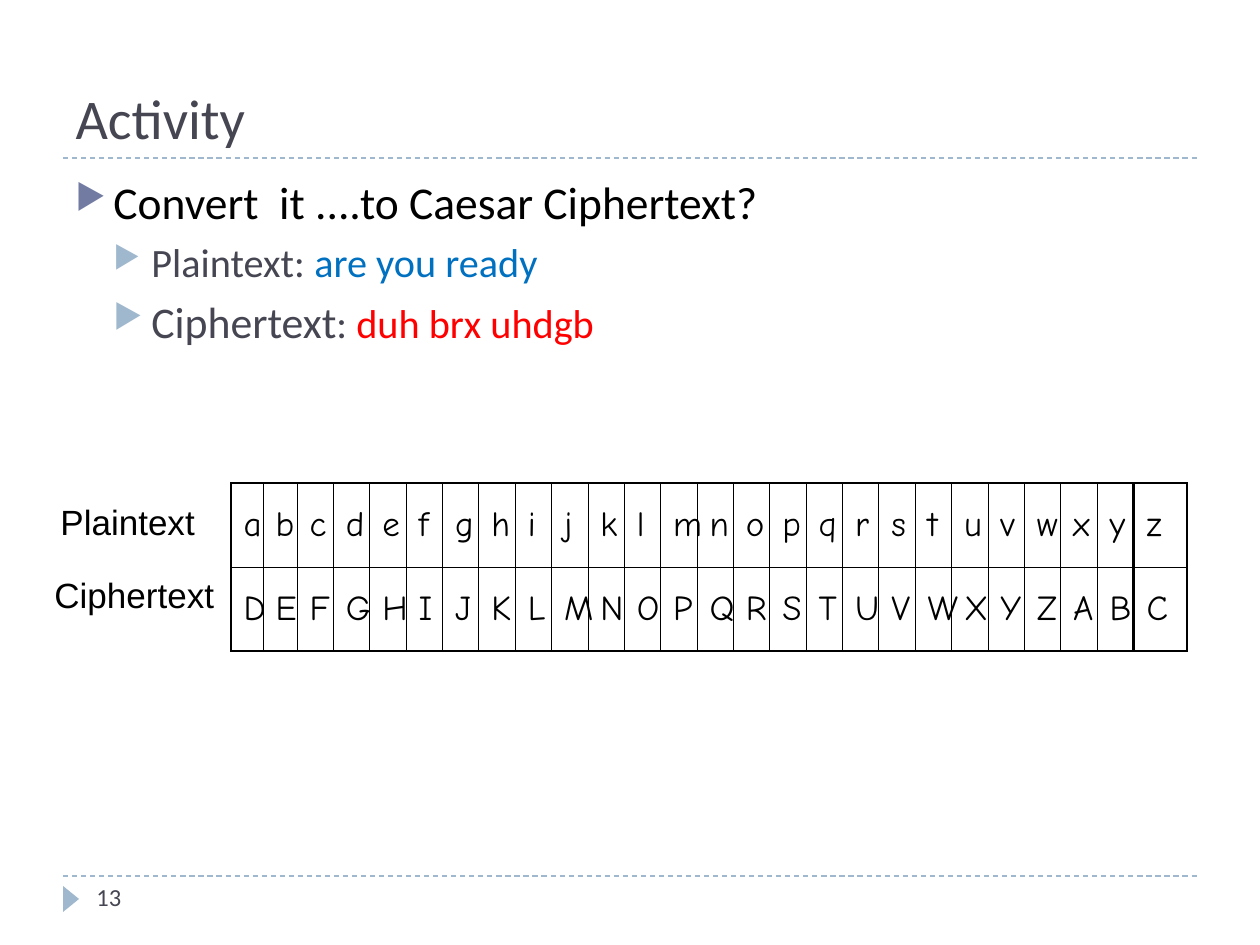
"""Build the Caesar cipher activity slide."""
from lxml import etree
from pptx import Presentation
from pptx import oxml
from pptx import util as u
from pptx.dml.color import RGBColor
from pptx.enum import dml, shapes, text
from pptx.oxml import ns

THEME = {
    "ink": "000000", "slate": "464653", "rule": "9FB8CD", "bullet": "727CA3",
    "plain": "0070C0", "cipher": "FF0000",
    "body": "Calibri", "letter": "Comic Neue", "label": "Arial",
    "title_pt": 32, "question_pt": 26, "answer_pt": 23, "cipher_pt": 25,
    "table_pt": 20, "number_pt": 14,
    "thin": 0.45, "thick": 1.08,
}

TITLE = "Activity"
PAGE = "13"
POINTS = [
    (0, "bullet", 0, [("Convert  it ....to Caesar Ciphertext?", "question_pt", "ink")]),
    (1, "rule", 5, [("Plaintext: ", "answer_pt", "slate"),
                    ("are you ready", "answer_pt", "plain")]),
    (1, "rule", 5, [("Ciphertext", "cipher_pt", "slate"),
                    (": ", "answer_pt", "slate"),
                    ("duh brx uhdgb", "answer_pt", "cipher")]),
]
ALPHABET = "abcdefghijklmnopqrstuvwxyz"
SHIFT = 3
SHIFTED = (ALPHABET[SHIFT:] + ALPHABET[:SHIFT]).upper()
ROW_LABELS = [("Plaintext", (48, 494, 160, 55)), ("Ciphertext", (42, 567, 185, 55))]

INDENT = 38
TABLE_LEFT, TABLE_TOP, ROW_HEIGHT = 231, 483, 84
TABLE_WIDTH, LAST_WIDTH = 903, 53
FIRST_WIDTHS = [32, 34]


def px(length):
    return u.Emu(round(length * 914400 / 126))


def color(key):
    return RGBColor.from_string(THEME[key])


def style(run, size, ink, face):
    run.font.size = u.Pt(THEME[size])
    run.font.color.rgb = color(ink)
    run.font.name = THEME[face]


def add_text(slide, box, words, size, ink, face, wrap=True):
    frame = slide.shapes.add_textbox(*map(px, box)).text_frame
    frame.word_wrap = wrap
    frame.text = words
    style(frame.paragraphs[0].runs[0], size, ink, face)


def add_rule(slide, y):
    rule = slide.shapes.add_connector(
        shapes.MSO_CONNECTOR.STRAIGHT, px(63), px(y), px(1197), px(y))
    rule.line.color.rgb = color("rule")
    rule.line.width = u.Pt(0.75)
    rule.line.dash_style = dml.MSO_LINE.DASH
    etree.SubElement(rule._element.spPr, ns.qn("a:effectLst"))


def add_bullet(paragraph, level, ink):
    props = paragraph._p.get_or_add_pPr()
    props.set("marL", str(px(INDENT * (level + 1))))
    props.set("indent", str(-px(INDENT)))
    for xml in (f'<a:buClr {ns.nsdecls("a")}><a:srgbClr val="{THEME[ink]}"/></a:buClr>',
                f'<a:buSzPct {ns.nsdecls("a")} val="76000"/>',
                f'<a:buChar {ns.nsdecls("a")} char="▶"/>'):
        props.append(oxml.parse_xml(xml))


def add_points(slide):
    frame = slide.shapes.add_textbox(*map(px, (63, 168, 1134, 680))).text_frame
    frame.word_wrap = True
    for index, (level, ink, before, parts) in enumerate(POINTS):
        paragraph = frame.add_paragraph() if index else frame.paragraphs[0]
        paragraph.level = level
        add_bullet(paragraph, level, ink)
        if before:
            paragraph.space_before = u.Pt(before)
        for words, size, part_ink in parts:
            run = paragraph.add_run()
            run.text = words
            style(run, size, part_ink, "body")


def set_borders(cell, thick_sides):
    props = cell._tc.get_or_add_tcPr()
    for index, side in enumerate("LRTB"):
        width = u.Pt(THEME["thick" if side in thick_sides else "thin"])
        props.insert(index, oxml.parse_xml(
            f'<a:ln{side} {ns.nsdecls("a")} w="{width}"><a:solidFill>'
            f'<a:srgbClr val="{THEME["ink"]}"/></a:solidFill></a:ln{side}>'))


def add_letters(slide, left, widths, rows, outer_sides):
    table = slide.shapes.add_table(
        len(rows), len(widths), px(left), px(TABLE_TOP),
        px(sum(widths)), px(ROW_HEIGHT * len(rows))).table
    table.first_row = table.horz_banding = False
    for column, width in zip(table.columns, widths):
        column.width = px(width)
    for r, letters in enumerate(rows):
        table.rows[r].height = px(ROW_HEIGHT)
        for c, letter in enumerate(letters):
            cell = table.cell(r, c)
            cell.text = letter
            cell.vertical_anchor = text.MSO_ANCHOR.MIDDLE
            cell.fill.background()
            style(cell.text_frame.paragraphs[0].runs[0], "table_pt", "ink", "letter")
            edges = {"L": c == 0, "R": c == len(widths) - 1,
                     "T": r == 0, "B": r == len(rows) - 1}
            set_borders(cell, [side for side in outer_sides if edges[side]])


def main():
    deck = Presentation()
    deck.slide_width, deck.slide_height = px(1260), px(945)
    slide = deck.slides.add_slide(deck.slide_layouts[5])

    for y in (876, 157.5):
        add_rule(slide, round(y))
    marker = slide.shapes.add_shape(
        shapes.MSO_SHAPE.ISOSCELES_TRIANGLE, *map(px, (58, 891, 26, 16)))
    marker.rotation = 90
    marker.shadow.inherit = False
    marker.fill.solid()
    marker.fill.fore_color.rgb = color("rule")
    marker.line.fill.background()

    title = slide.shapes.title
    title.left, title.top, title.width, title.height = map(px, (63, 21, 1134, 136))
    title.text_frame.text = TITLE
    title.text_frame.vertical_anchor = text.MSO_ANCHOR.BOTTOM
    heading = title.text_frame.paragraphs[0]
    heading.alignment = text.PP_ALIGN.LEFT
    style(heading.runs[0], "title_pt", "slate", "body")

    add_points(slide)
    add_text(slide, (84, 876, 273, 50), PAGE, "number_pt", "slate", "body")

    even_count = len(ALPHABET) - 1 - len(FIRST_WIDTHS)
    even_width = (TABLE_WIDTH - sum(FIRST_WIDTHS)) / even_count
    widths = FIRST_WIDTHS + [even_width] * even_count
    add_letters(slide, TABLE_LEFT, widths, [ALPHABET[:-1], SHIFTED[:-1]], "LRTB")
    add_letters(slide, TABLE_LEFT + TABLE_WIDTH, [LAST_WIDTH],
                [ALPHABET[-1], SHIFTED[-1]], "LRTB")
    for words, box in ROW_LABELS:
        add_text(slide, box, words, "table_pt", "ink", "label", wrap=False)

    deck.save("out.pptx")


if __name__ == "__main__":
    main()
